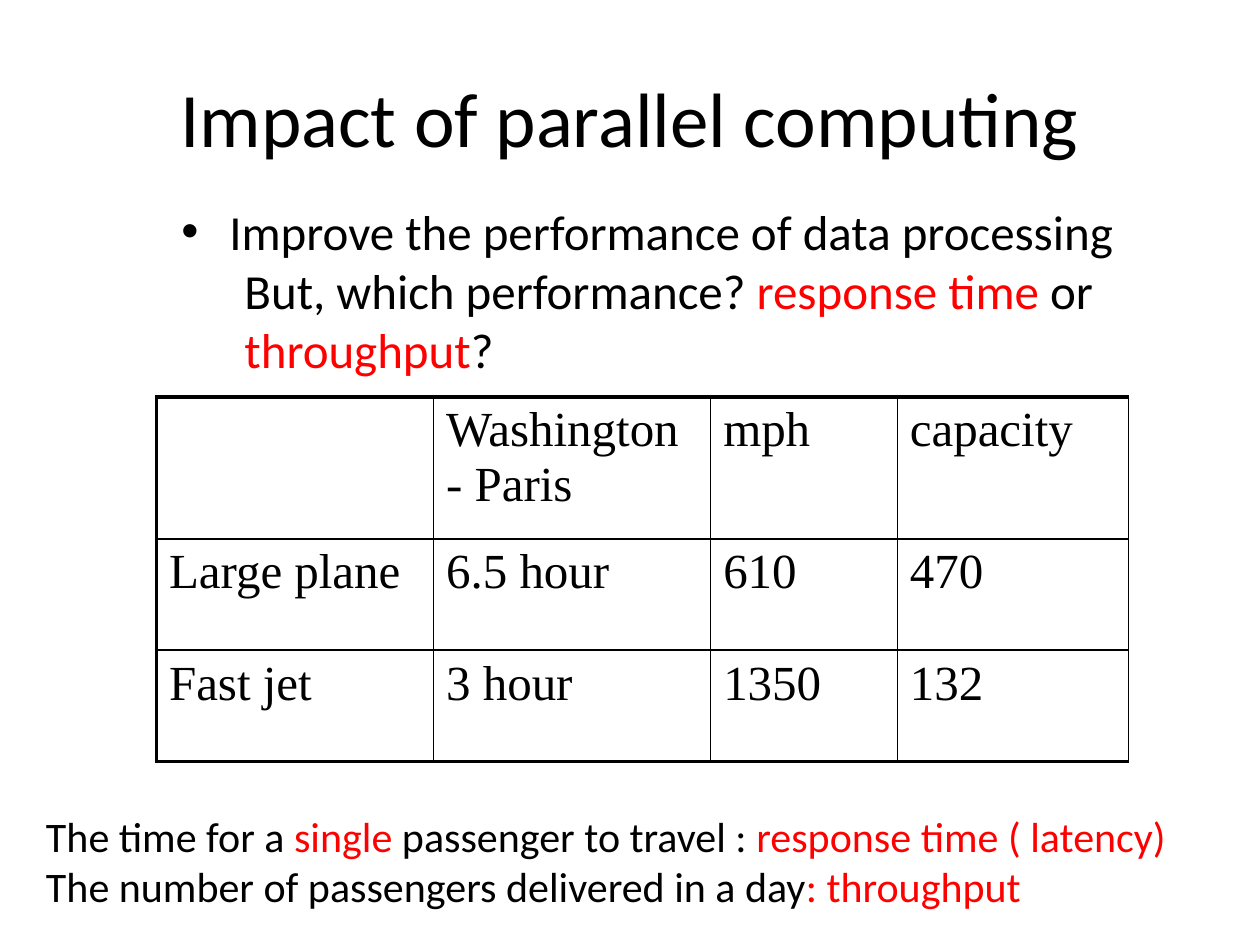
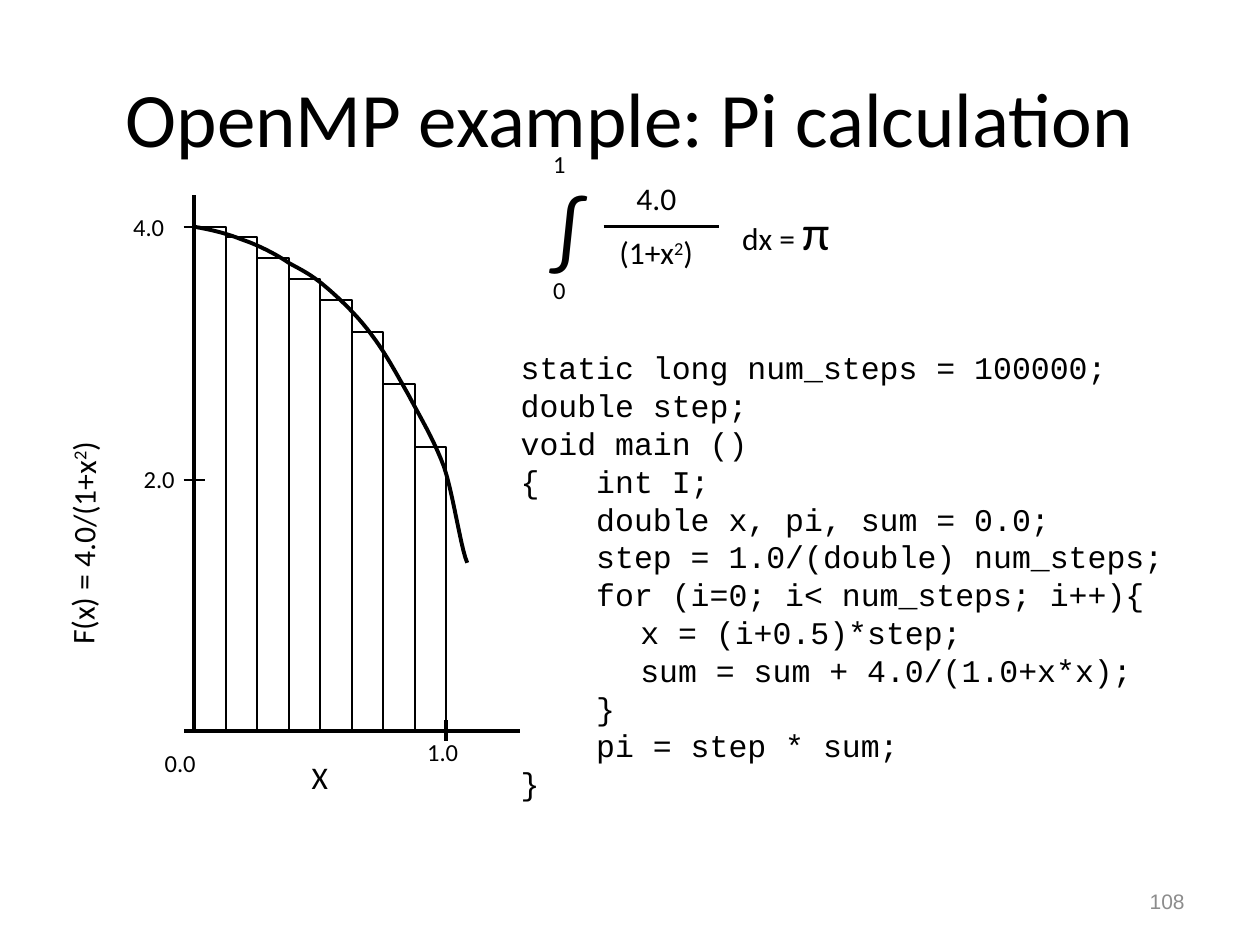
import dataclasses

import pptx
import pptx.dml.color
import pptx.enum.shapes
import pptx.enum.text
import pptx.oxml.ns
import pptx.util
from lxml import etree

BLACK = pptx.dml.color.RGBColor(0x00, 0x00, 0x00)
RED = pptx.dml.color.RGBColor(0xFF, 0x00, 0x00)
GRAY = pptx.dml.color.RGBColor(0x8C, 0x8C, 0x8C)
BODY_FONT, TABLE_FONT, CODE_FONT, NUMBER_FONT = "Calibri", "Times New Roman", "Courier New", "Arial"
ALIGN = pptx.enum.text.PP_ALIGN
MIDDLE = pptx.enum.text.MSO_ANCHOR.MIDDLE

SLIDE_WIDTH, SLIDE_HEIGHT = pptx.util.Inches(10), pptx.util.Inches(7.5)
GRID_COLUMNS = 120
UNIT = SLIDE_WIDTH // GRID_COLUMNS
THIN, THICK = 1, 2.25

CODE_LINES = [
    "static long num_steps = 100000;",
    "double step;",
    "void main ()",
    "{   int I;",
    "    double x, pi, sum = 0.0;",
    "    step = 1.0/(double) num_steps;",
    "    for (i=0; i< num_steps; i++){",
    "\t   x = (i+0.5)*step;",
    "\t   sum = sum + 4.0/(1.0+x*x);",
    "    }",
    "    pi = step * sum;",
    "}",
]
FLIGHT_ROWS = [
    ["", "Washington - Paris", "mph", "capacity"],
    ["Large plane", "6.5 hour", "610", "470"],
    ["Fast jet", "3 hour", "1350", "132"],
]
BAR_HEIGHTS = [48, 47, 45, 43, 41, 38, 33, 27]
BAR_WIDTH = 3
CURVE_KNOTS = [
    (0, 0), (1.5, 0.25), (3, 0.6), (4.5, 1.2), (6, 1.7), (7.8, 2.6), (9.1, 3.5),
    (10.4, 4.2), (11.2, 4.6), (12.5, 5.7), (13.8, 6.8), (15.6, 8.5), (16.9, 10.3),
    (18.2, 12), (19.2, 13.9), (20.4, 16), (21.5, 18.1), (22.8, 20.2), (23.8, 22.9),
    (24.7, 25.6), (25.4, 30.7), (26, 32),
]
CURVE_STEPS = 10


@dataclasses.dataclass
class Box:
    """A rectangle measured in grid units."""
    left: float
    top: float
    width: float
    height: float

    def inner(self, left, top, width, height):
        """Return a box placed relative to this one."""
        return Box(self.left + left, self.top + top, width, height)

    def point(self, across, down):
        """Return a point inside this box in slide lengths."""
        return grid(self.left + across), grid(self.top + down)

    def frame(self):
        """Return left, top, width and height in slide lengths."""
        return [grid(length) for length in (self.left, self.top, self.width, self.height)]


def grid(units):
    """Turn grid units into a slide length."""
    return pptx.util.Emu(round(units * UNIT))


def add_span(para, text, size, colour=BLACK, font=BODY_FONT, raised=False):
    """Append one formatted run to a paragraph."""
    span = para.add_run()
    span.text = text
    span.font.size = pptx.util.Pt(size)
    span.font.name = font
    span.font.color.rgb = colour
    if raised:
        span.font._element.set("baseline", "30000")


def add_text(page, box, lines, size, font=BODY_FONT, align=ALIGN.LEFT):
    """Add a text box whose lines are lists of run arguments."""
    text_box = page.shapes.add_textbox(*box.frame())
    text_box.text_frame.word_wrap = True
    for index, spans in enumerate(lines):
        para = text_box.text_frame.paragraphs[0] if index == 0 else text_box.text_frame.add_paragraph()
        para.alignment = align
        for text, options in spans:
            add_span(para, text, **{"size": size, "font": font, **options})
    return text_box


def add_label(page, box, text, size, align=ALIGN.LEFT):
    """Add a single line of plain text."""
    return add_text(page, box, [[(text, {})]], size, align=align)


def add_denominator(page, box, prefix, align=ALIGN.LEFT):
    """Add an expression that ends in 1+x squared."""
    spans = [(prefix + "(1+x", {}), ("2", {"raised": True}), (")", {})]
    return add_text(page, box, [spans], 18, align=align)


def add_line(page, box, start, end, weight):
    """Draw a straight line between two points of a box."""
    line = page.shapes.add_connector(
        pptx.enum.shapes.MSO_CONNECTOR.STRAIGHT, *box.point(*start), *box.point(*end))
    line.line.color.rgb = BLACK
    line.line.width = pptx.util.Pt(weight)
    etree.SubElement(line._element.spPr, pptx.oxml.ns.qn("a:effectLst"))


def outline(shape, weight):
    """Leave a shape unfilled with a black outline."""
    shape.shadow.inherit = False
    shape.fill.background()
    shape.line.color.rgb = BLACK
    shape.line.width = pptx.util.Pt(weight)


def add_page(deck, title):
    """Add a title-only slide with the shared title style."""
    page = deck.slides.add_slide(deck.slide_layouts[5])
    holder = page.shapes.title
    holder.left, holder.top, holder.width, holder.height = Box(6, 3.6, 108, 15).frame()
    holder.text_frame.vertical_anchor = MIDDLE
    para = holder.text_frame.paragraphs[0]
    para.alignment = ALIGN.CENTER
    add_span(para, title, 44)
    return page


def set_indent(para, margin, first_line, bullet=None):
    """Set the indents of a paragraph and an optional bullet."""
    properties = para._p.get_or_add_pPr()
    properties.set("marL", str(pptx.util.Inches(margin)))
    properties.set("indent", str(pptx.util.Inches(first_line)))
    if bullet:
        etree.SubElement(properties, pptx.oxml.ns.qn("a:buFont"), typeface="Arial")
        etree.SubElement(properties, pptx.oxml.ns.qn("a:buChar"), char=bullet)


def add_question(page, box):
    """State the goal and ask which performance is meant."""
    red = {"colour": RED}
    text_box = add_text(page, box, [
        [("Improve the performance of data processing", {})],
        [("But, which performance? ", {}), ("response time ", red), ("or ", {}),
         ("throughput", red), ("?", {})],
    ], 28)
    goal, question = text_box.text_frame.paragraphs
    set_indent(goal, 0.38, -0.38, "•")
    question.level = 1
    set_indent(question, 0.5, 0)


def add_definitions(page, box):
    """Define response time and throughput."""
    red = {"colour": RED}
    add_text(page, box, [
        [("The time for a ", {}), ("single", red), (" passenger to travel : ", {}),
         ("response time ( latency)", red)],
        [("The number of passengers delivered in a day", {}), (": throughput", red)],
    ], 24)


def set_borders(cell, weights):
    """Draw the four borders of a table cell."""
    properties = cell._tc.get_or_add_tcPr()
    for side, weight in weights.items():
        border = etree.SubElement(
            properties, pptx.oxml.ns.qn("a:ln" + side), w=str(pptx.util.Pt(weight)))
        fill = etree.SubElement(border, pptx.oxml.ns.qn("a:solidFill"))
        etree.SubElement(fill, pptx.oxml.ns.qn("a:srgbClr"), val=str(BLACK))


def add_flight_table(page, box):
    """Compare the two aircraft in a ruled table."""
    table = page.shapes.add_table(len(FLIGHT_ROWS), len(FLIGHT_ROWS[0]), *box.frame()).table
    table.first_row = table.horz_banding = False
    for column, share in zip(table.columns, (0.285, 0.285, 0.192, 0.238)):
        column.width = grid(box.width * share)
    for row, share in zip(table.rows, (0.39, 0.305, 0.305)):
        row.height = grid(box.height * share)
    for row_index, texts in enumerate(FLIGHT_ROWS):
        for column_index, text in enumerate(texts):
            cell = table.cell(row_index, column_index)
            set_borders(cell, {
                "L": THICK if column_index == 0 else THIN,
                "R": THIN,
                "T": THICK if row_index == 0 else THIN,
                "B": THICK if row_index == len(FLIGHT_ROWS) - 1 else THIN,
            })
            cell.fill.background()
            if text:
                add_span(cell.text_frame.paragraphs[0], text, 28, font=TABLE_FONT)


def add_formula(page, box):
    """Write the integral that equals pi."""
    add_label(page, box.inner(0, 2.6, 5, 10.8), "∫", 48)
    add_label(page, box.inner(3.5, 2.9, 15, 5.2), "4.0", 18, ALIGN.CENTER)
    add_denominator(page, box.inner(2.5, 8, 17, 5.2), "", ALIGN.CENTER)
    add_line(page, box, (6, 8), (17, 8), 1.5)
    add_text(page, box.inner(18, 5, 21, 6.8), [[("dx = ", {}), ("π", {"size": 28})]], 18)
    for limit, top in (("0", 12), ("1", 0)):
        add_label(page, box.inner(0, top, 4, 4), limit, 14)


def bezier_points(knots):
    """Sample a chain of cubic curves."""
    points = []
    for start in range(0, len(knots) - 1, 3):
        corners = knots[start:start + 4]
        for step in range(1, CURVE_STEPS + 1):
            t = step / CURVE_STEPS
            weights = ((1 - t) ** 3, 3 * t * (1 - t) ** 2, 3 * t ** 2 * (1 - t), t ** 3)
            points.append(tuple(
                sum(weight * corner[axis] for weight, corner in zip(weights, corners))
                for axis in (0, 1)))
    return points


def add_plot(page, box):
    """Draw the bars under the curve with axes and labels."""
    origin, base = 7, 51
    bars_right = origin + BAR_WIDTH * len(BAR_HEIGHTS)
    for index, height in enumerate(BAR_HEIGHTS):
        bar = box.inner(origin + index * BAR_WIDTH, base - height, BAR_WIDTH, height)
        outline(page.shapes.add_shape(
            pptx.enum.shapes.MSO_SHAPE.RECTANGLE, *bar.frame()), THIN)
    add_line(page, box, (origin, 0), (origin, base), THICK)
    add_line(page, box, (box.width, base), (origin - 1, base), THICK)
    add_line(page, box, (bars_right, base - 1), (bars_right, base + 1), THICK)
    for height in (48, 23.9):
        add_line(page, box, (origin - 1, base - height), (origin + 1, base - height), THIN)

    curve_area = box.inner(origin, base - BAR_HEIGHTS[0], 26, 32)
    builder = page.shapes.build_freeform(*curve_area.point(*CURVE_KNOTS[0]))
    builder.add_line_segments(
        [curve_area.point(*point) for point in bezier_points(CURVE_KNOTS)], close=False)
    outline(builder.convert_to_shape(), THICK)

    for text, left, top in (("4.0", 0, 1), ("2.0", 1, 25), ("1.0", 28, 51), ("0.0", 3, 52)):
        add_label(page, box.inner(left, top, 6, 4), text, 14)
    add_label(page, box.inner(17, 53, 6, 5.2), "X", 18)
    axis_name = add_denominator(page, box.inner(-17.4, 27.4, 28, 5.2), "F(x) = 4.0/")
    axis_name.rotation = 270.5


def add_code(page, box):
    """Show the program listing."""
    text_box = add_text(page, box, [[(line, {})] for line in CODE_LINES], 18, CODE_FONT)
    for para in text_box.text_frame.paragraphs:
        stops = etree.SubElement(para._p.get_or_add_pPr(), pptx.oxml.ns.qn("a:tabLst"))
        etree.SubElement(
            stops, pptx.oxml.ns.qn("a:tab"), pos=str(pptx.util.Inches(0.5)), algn="l")


def add_page_number(page, box, number):
    """Write the page number at the lower right."""
    number_box = add_text(
        page, box, [[(number, {"colour": GRAY})]], 12, NUMBER_FONT, ALIGN.RIGHT)
    number_box.text_frame.vertical_anchor = MIDDLE


def build_impact_page(deck):
    """Build the slide on response time and throughput."""
    page = add_page(deck, "Impact of parallel computing")
    add_flight_table(page, Box(14.9, 37.8, 92.6, 34.7))
    add_question(page, Box(16.1, 18.6, 91.3, 18.1))
    add_definitions(page, Box(3.2, 76.6, 110.8, 10.9))


def build_pi_page(deck):
    """Build the slide on the numerical integration of pi."""
    page = add_page(deck, "OpenMP example: Pi calculation")
    add_page_number(page, Box(86, 83.4, 28, 4.8), "108")
    add_code(page, Box(48.4, 32.6, 74.3, 44.9))
    add_formula(page, Box(51.5, 13.6, 39, 16))
    add_plot(page, Box(11.5, 18.6, 38, 58.2))


def main():
    """Build and save the deck."""
    deck = pptx.Presentation()
    deck.slide_width, deck.slide_height = SLIDE_WIDTH, SLIDE_HEIGHT
    build_impact_page(deck)
    build_pi_page(deck)
    deck.save("out.pptx")


if __name__ == "__main__":
    main()
